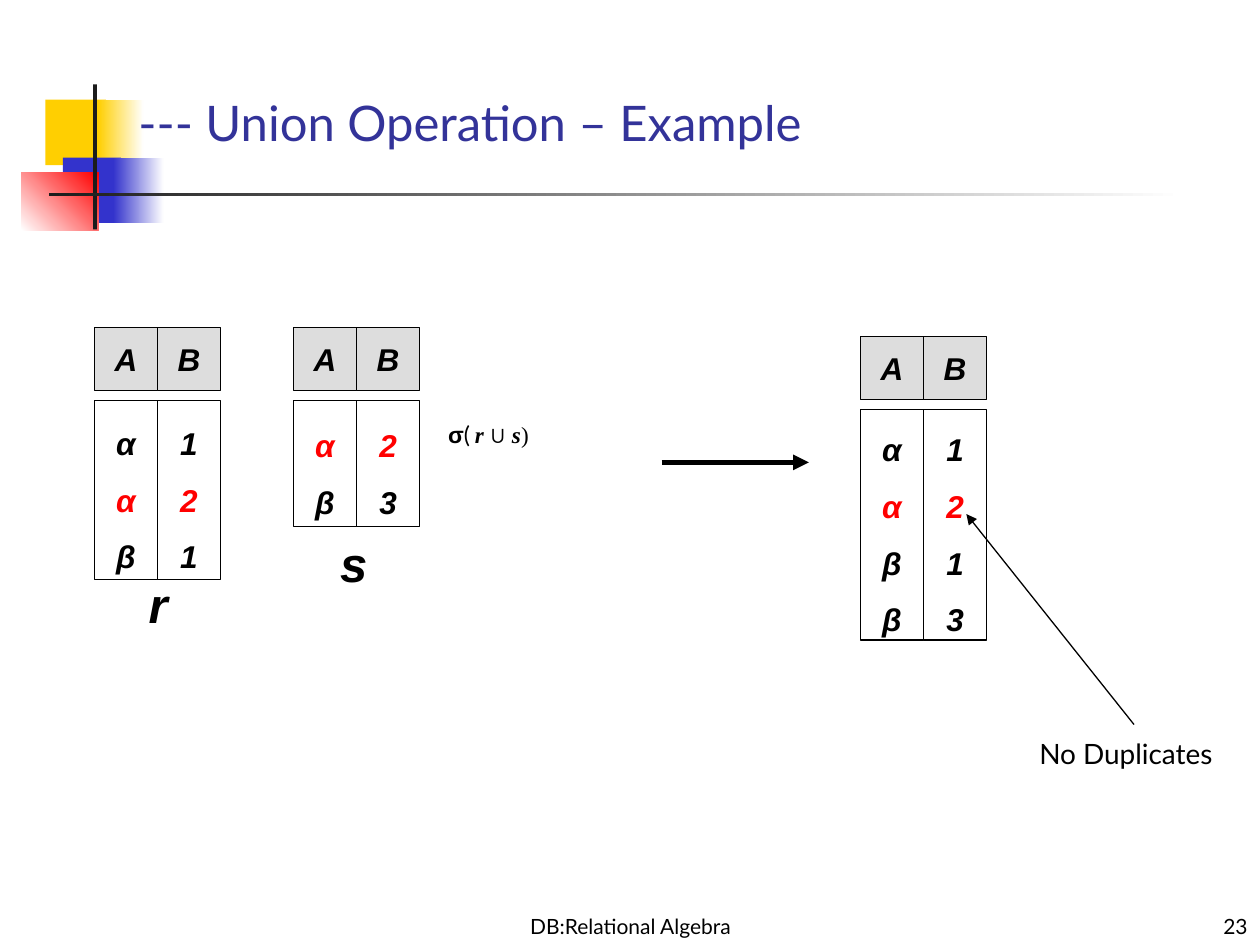
import pptx
import pptx.util
import pptx.dml.color
import pptx.enum.shapes
import pptx.enum.text
import pptx.oxml
import pptx.oxml.ns

Inches = pptx.util.Inches
Pt = pptx.util.Pt
ALIGN = pptx.enum.text.PP_ALIGN
ANCHOR = pptx.enum.text.MSO_ANCHOR
RECT = pptx.enum.shapes.MSO_SHAPE.RECTANGLE

COLORS = {
    "black": "000000", "white": "FFFFFF", "red": "FF0000", "header": "DDDDDD",
    "title": "333399", "yellow": "FFCF01", "blue": "3333CC", "bar": "1C1C1C",
}
CELL = 0.5
BODY_OFFSET = 0.58


def rgb(name):
    return pptx.dml.color.RGBColor.from_string(COLORS[name])


def add_run(p, text, size, font="Lato", color="black", bold=False, italic=False):
    r = p.add_run()
    r.text = text
    r.font.size = Pt(size)
    r.font.name = font
    r.font.color.rgb = rgb(color)
    r.font.bold = bold
    r.font.italic = italic


def add_rect(slide, x, y, w, h, colors, angle=0):
    """Rectangle without outline: one colour is solid, two are a gradient."""
    sp = slide.shapes.add_shape(RECT, Inches(x), Inches(y), Inches(w), Inches(h))
    sp.shadow.inherit = False
    sp.line.fill.background()
    if len(colors) == 1:
        sp.fill.solid()
        sp.fill.fore_color.rgb = rgb(colors[0])
    else:
        sp.fill.gradient()
        sp.fill.gradient_angle = angle
        for stop, color in zip(sp.fill.gradient_stops, colors):
            stop.color.rgb = rgb(color)
    return sp


def add_text(slide, x, y, w, h, align=ALIGN.LEFT, anchor=ANCHOR.TOP, wrap=True):
    """Empty text box; returns its first paragraph."""
    tf = slide.shapes.add_textbox(Inches(x), Inches(y), Inches(w), Inches(h)).text_frame
    tf.word_wrap = wrap
    tf.vertical_anchor = anchor
    p = tf.paragraphs[0]
    p.alignment = align
    return p


def add_arrow(slide, x1, y1, x2, y2, width):
    line = slide.shapes.add_connector(
        pptx.enum.shapes.MSO_CONNECTOR.STRAIGHT,
        Inches(x1), Inches(y1), Inches(x2), Inches(y2))
    line.line.width = Pt(width)
    line.line.color.rgb = rgb("black")
    ln = line.line._get_or_add_ln()
    ln.append(pptx.oxml.parse_xml(
        f'<a:tailEnd {pptx.oxml.ns.nsdecls("a")} type="triangle"/>'))
    line._element.spPr.append(pptx.oxml.parse_xml(
        f'<a:effectLst {pptx.oxml.ns.nsdecls("a")}/>'))


def add_decoration(slide, x, y):
    add_rect(slide, x + 0.19, y + 0.12, 0.48, 0.52, ["yellow"])
    add_rect(slide, x + 0.61, y + 0.12, 0.36, 0.52, ["yellow", "white"])
    add_rect(slide, x + 0.33, y + 0.58, 0.46, 0.52, ["blue"])
    add_rect(slide, x + 0.73, y + 0.58, 0.4, 0.52, ["blue", "white"])
    add_rect(slide, x, y + 0.7, 0.61, 0.46, ["white", "red"], angle=45)
    add_rect(slide, x + 0.57, y, 0.03, 1.15, ["bar"])
    add_rect(slide, x + 0.22, y + 0.86, 9, 0.03, ["bar", "white"])


def add_cell(slide, x, y, h, fill, entries, spacing=1.0):
    """Outlined cell with one line for each (text, color) entry."""
    sp = add_rect(slide, x, y, CELL, h, [fill])
    sp.line.color.rgb = rgb("black")
    sp.line.width = Pt(0.75)
    tf = sp.text_frame
    tf.word_wrap = False
    tf.vertical_anchor = ANCHOR.MIDDLE
    for i, (text, color) in enumerate(entries):
        p = tf.add_paragraph() if i else tf.paragraphs[0]
        p.alignment = ALIGN.CENTER
        p.line_spacing = spacing
        add_run(p, text, 18, "Arial", color, bold=True, italic=True)


def add_relation(slide, x, y, body_h, rows):
    """Header A, B above one tall cell per column; the shared tuple is red."""
    for col, name in enumerate("AB"):
        left = x + col * CELL
        add_cell(slide, left, y, CELL, "header", [(name, "black")])
        entries = [(row[col], "red" if row == "α2" else "black") for row in rows]
        add_cell(slide, left, y + BODY_OFFSET, body_h, "white", entries, 1.5)


def add_relation_name(slide, x, y, w, name):
    p = add_text(slide, x, y, w, 0.57, ALIGN.CENTER, ANCHOR.MIDDLE, wrap=False)
    add_run(p, name, 28, "Arial", bold=True, italic=True)


def add_expression(slide, x, y):
    p = add_text(slide, x, y, 1.83, 0.33)
    p.line_spacing = 0.8
    times = "Times New Roman"
    add_run(p, " ", 11, times, bold=True)
    add_run(p, "σ", 13.2, "Arial", bold=True)
    add_run(p, "(", 13.2)
    add_run(p, " ", 11, times, bold=True)
    add_run(p, "r ", 13.2, times, bold=True, italic=True)
    add_run(p, "∪", 13.2, "Arial", bold=True)
    add_run(p, " s", 13.2, times, bold=True, italic=True)
    add_run(p, ")", 13.2, times)


def add_footer(slide, y):
    for x, w, align, text in [(3.42, 3.17, ALIGN.CENTER, "DB:Relational Algebra"),
                              (7.92, 2.08, ALIGN.RIGHT, "23")]:
        add_run(add_text(slide, x, y, w, 0.42, align, ANCHOR.BOTTOM), text, 12)


def main():
    prs = pptx.Presentation()
    prs.slide_width, prs.slide_height = Inches(10), Inches(7.5)
    slide = prs.slides.add_slide(prs.slide_layouts[6])

    add_decoration(slide, 0.17, 0.67)
    add_footer(slide, 7.08)
    title = add_text(slide, 1, 0.58, 8.52, 0.67, anchor=ANCHOR.BOTTOM)
    add_run(title, "--- Union Operation – Example", 28, color="title")

    add_expression(slide, 3.42, 3.33)
    add_relation(slide, 0.75, 2.6, 1.42, ["α1", "α2", "β1"])
    add_relation(slide, 2.33, 2.6, 1, ["α2", "β3"])
    add_relation_name(slide, 1.08, 4.51, 0.35, "r")
    add_relation_name(slide, 2.6, 4.18, 0.41, "s")
    add_relation(slide, 6.83, 2.67, 1.83, ["α1", "α2", "β1", "β3"])

    add_arrow(slide, 5.25, 3.67, 6.42, 3.67, 3)
    add_run(add_text(slide, 8.15, 5.8, 1.65, 0.37, wrap=False), "No Duplicates", 16)
    add_arrow(slide, 9, 5.75, 7.67, 4.08, 0.75)

    prs.save("out.pptx")


if __name__ == "__main__":
    main()
